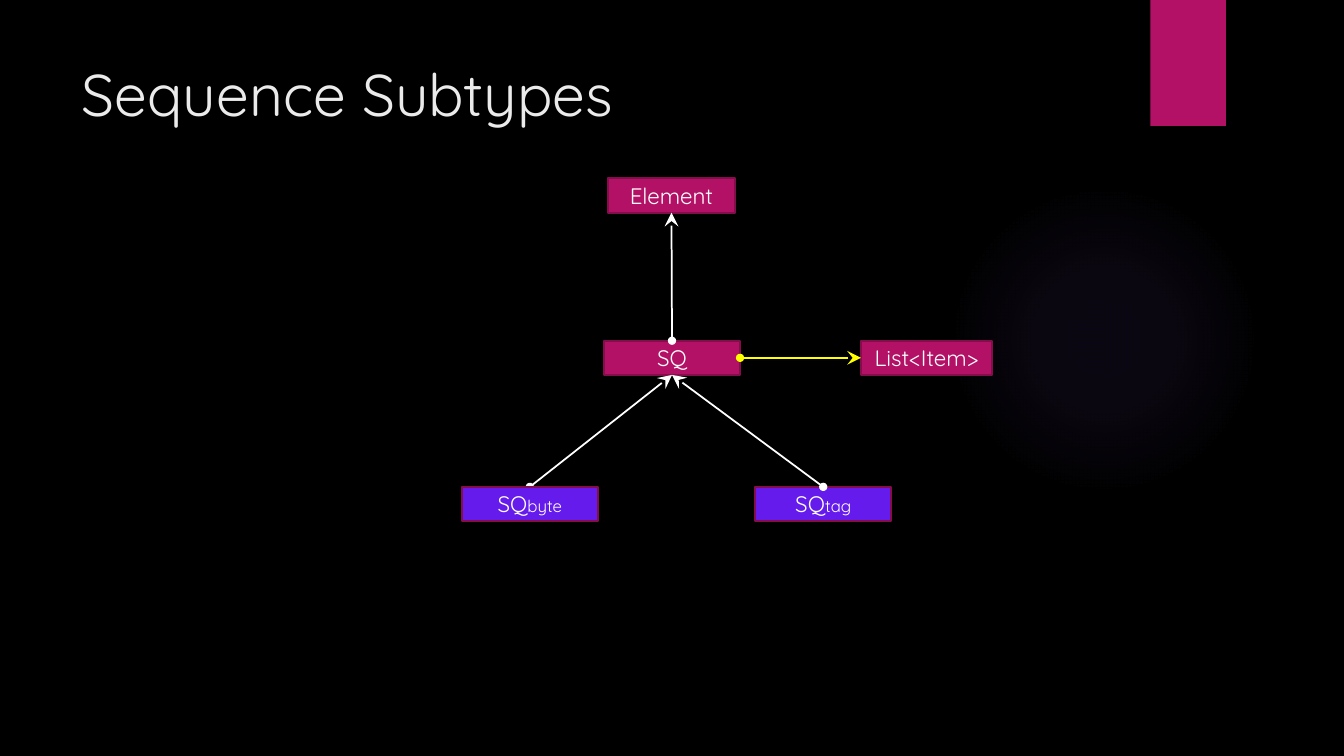
from lxml import etree
from pptx import Presentation
from pptx.dml.color import RGBColor
from pptx.enum.shapes import MSO_CONNECTOR, MSO_SHAPE
from pptx.enum.text import MSO_ANCHOR, PP_ALIGN
from pptx.oxml import parse_xml
from pptx.oxml.ns import nsdecls, qn
from pptx.util import Inches, Pt

COLORS = {
    "background": "000000", "title": "EBEBEB", "text": "FFFFFF",
    "type": "B31166", "subtype": "651BEB", "border": "840D4B",
    "inherits": "FFFFFF", "contains": "FFFF00", "glow": "9B6BF2",
}
FONT = "Quicksand"
TOP, LEFT, BOTTOM, RIGHT = range(4)
NODE_HEIGHT = 0.34


def color(name):
    """Return the palette colour of that name."""
    return RGBColor.from_string(COLORS[name])


def add_plain(slide, preset, box):
    """Add a preset shape without line or shadow."""
    shape = slide.shapes.add_shape(preset, *map(Inches, box))
    shape.shadow.inherit = False
    shape.line.fill.background()
    return shape


def add_glow(slide, box):
    """Add a faint circle that fades out towards its edge."""
    glow = add_plain(slide, MSO_SHAPE.OVAL, box)
    stops = "".join(
        f'<a:gs pos="{position * 1000}"><a:srgbClr val="{COLORS["glow"]}">'
        f'<a:alpha val="{alpha * 1000}"/></a:srgbClr></a:gs>'
        for position, alpha in ((0, 7), (36, 6), (69, 0)))
    gradient = parse_xml(
        f'<a:gradFill {nsdecls("a")}><a:gsLst>{stops}</a:gsLst><a:path path="circle">'
        '<a:fillToRect l="50000" t="50000" r="50000" b="50000"/></a:path></a:gradFill>')
    glow._element.spPr.find(qn("a:prstGeom")).addnext(gradient)


def add_ribbon(slide, box):
    """Add the tab hanging from the top edge."""
    ribbon = add_plain(slide, MSO_SHAPE.RECTANGLE, box)
    ribbon.fill.solid()
    ribbon.fill.fore_color.rgb = color("type")


def add_title(slide, text, box):
    """Place and format the title placeholder."""
    title = slide.shapes.title
    title.left, title.top, title.width, title.height = map(Inches, box)
    title.text = text
    title.text_frame.vertical_anchor = MSO_ANCHOR.MIDDLE
    heading = title.text_frame.paragraphs[0]
    heading.alignment = PP_ALIGN.LEFT
    heading.font.name, heading.font.size = FONT, Pt(42)
    heading.font.color.rgb = color("title")


def add_node(slide, name, suffix, fill, box):
    """Add a type box, with an optional smaller suffix after its name."""
    node = add_plain(slide, MSO_SHAPE.RECTANGLE, box)
    node.fill.solid()
    node.fill.fore_color.rgb = color(fill)
    node.line.color.rgb = color("border")
    node.line.width = Pt(1.5)
    node.text_frame.vertical_anchor = MSO_ANCHOR.MIDDLE
    label = node.text_frame.paragraphs[0]
    label.alignment = PP_ALIGN.CENTER
    for text, size in ((name, 16), (suffix, 12)):
        if text:
            run = label.add_run()
            run.text = text
            run.font.name, run.font.size = FONT, Pt(size)
            run.font.color.rgb = color("text")
    return node


def add_link(slide, target, target_side, source, source_side, stroke):
    """Link two nodes, with an arrowhead at target and a dot at source."""
    link = slide.shapes.add_connector(MSO_CONNECTOR.STRAIGHT, 0, 0, 0, 0)
    link.begin_connect(target, target_side)
    link.end_connect(source, source_side)
    link.line.color.rgb = color(stroke)
    link.line.width = Pt(1.25)
    line = link.line._get_or_add_ln()
    etree.SubElement(line, qn("a:headEnd"), type="stealth", w="lg", len="lg")
    etree.SubElement(line, qn("a:tailEnd"), type="oval")
    etree.SubElement(link._element.spPr, qn("a:effectLst"))


def add_hierarchy(slide, left, top):
    """Draw the type diagram from its top left corner."""
    def node(name, suffix, fill, x, y, width):
        """Add a node at an offset from the corner."""
        return add_node(slide, name, suffix, fill, (left + x, top + y, width, NODE_HEIGHT))

    element = node("Element", "", "type", 1.45, 0, 1.26)
    sequence = node("SQ", "", "type", 1.41, 1.61, 1.35)
    items = node("List<Item>", "", "type", 3.96, 1.61, 1.3)
    byte_sequence = node("SQ", "byte", "subtype", 0, 3.06, 1.35)
    tag_sequence = node("SQ", "tag", "subtype", 2.91, 3.06, 1.35)

    add_link(slide, element, BOTTOM, sequence, TOP, "inherits")
    add_link(slide, sequence, BOTTOM, byte_sequence, TOP, "inherits")
    slide.shapes._spTree.append(byte_sequence._element)
    add_link(slide, sequence, BOTTOM, tag_sequence, TOP, "inherits")
    add_link(slide, items, LEFT, sequence, RIGHT, "contains")


def build_slide(deck):
    """Add the slide on sequence subtypes."""
    slide = deck.slides.add_slide(deck.slide_layouts[5])
    slide.background.fill.solid()
    slide.background.fill.fore_color.rgb = color("background")
    add_glow(slide, (9.41, 1.83, 3.08, 3.08))
    add_ribbon(slide, (11.41, 0, 0.75, 1.25))
    add_title(slide, "Sequence Subtypes", (0.71, 0.5, 10.29, 0.84))
    add_hierarchy(slide, 4.58, 1.77)


deck = Presentation()
deck.slide_width, deck.slide_height = Inches(13.33), Inches(7.5)
build_slide(deck)
deck.save("out.pptx")
